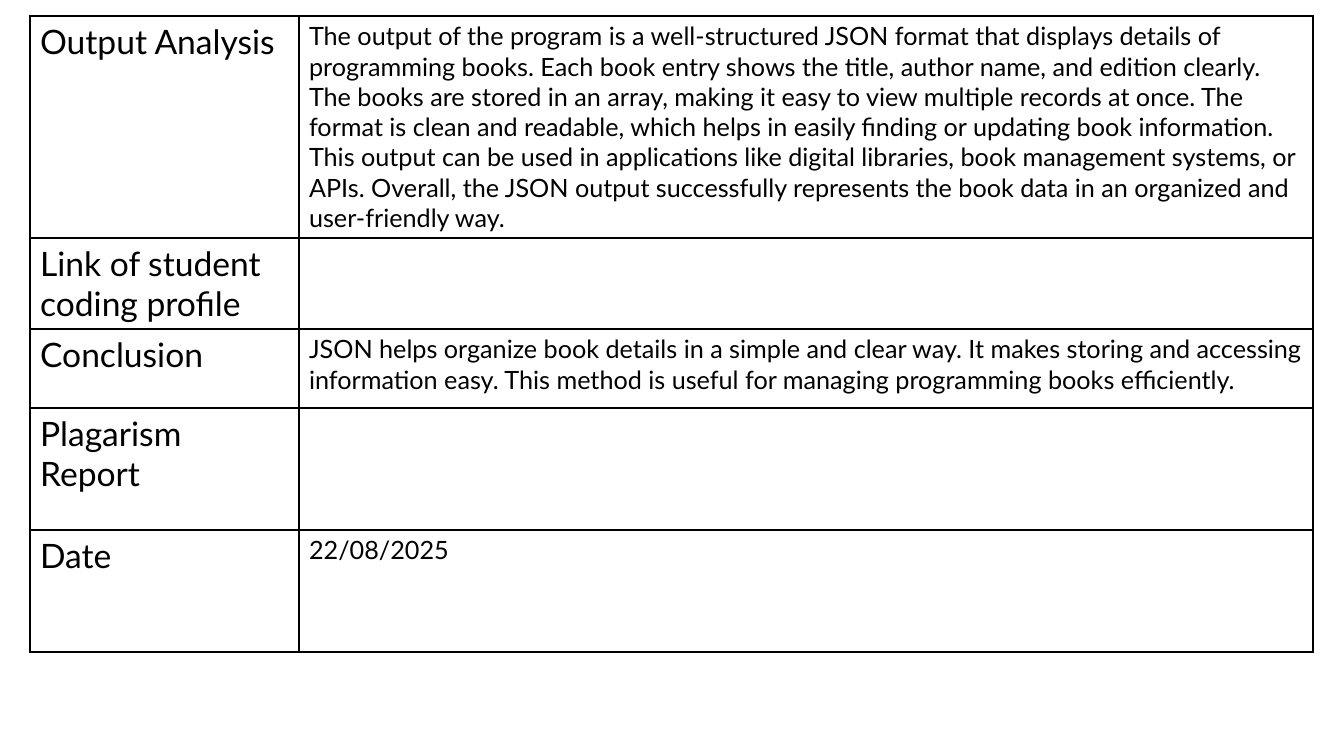
import pptx
import pptx.dml.color
import pptx.util
from lxml import etree
from pptx.oxml.ns import qn

PX = 914400 / 100.8
FONT = "Lato"
BLACK = "000000"

ROWS = [
    (222, "Output Analysis",
     "The output of the program is a well-structured JSON format that displays details of "
     "programming books. Each book entry shows the title, author name, and edition clearly. "
     "The books are stored in an array, making it easy to view multiple records at once. "
     "The format is clean and readable, which helps in easily finding or updating book "
     "information. This output can be used in applications like digital libraries, book "
     "management systems, or APIs. Overall, the JSON output successfully represents the "
     "book data in an organized and user-friendly way."),
    (91, "Link of student coding profile", ""),
    (79, "Conclusion",
     "JSON helps organize book details in a simple and clear way. It makes storing and "
     "accessing information easy. This method is useful for managing programming books "
     "efficiently."),
    (122, "Plagarism Report", ""),
    (122, "Date", "22/08/2025"),
]


def px(length):
    return pptx.util.Emu(round(length * PX))


def color(value):
    return pptx.dml.color.RGBColor.from_string(value)


def write_text(frame, text, size=18, fill=BLACK, font=FONT):
    frame.word_wrap = True
    paragraph = frame.paragraphs[0]
    if text:
        run = paragraph.add_run()
        run.text = text
        target = run.font
    else:
        target = paragraph.font
    target.size = pptx.util.Pt(size)
    target.name = font
    target.color.rgb = color(fill)


def add_borders(cell, line_color=BLACK, width=1):
    properties = cell._tc.get_or_add_tcPr()
    for side in ("a:lnL", "a:lnR", "a:lnT", "a:lnB"):
        line = etree.SubElement(properties, qn(side), w=str(pptx.util.Pt(width)))
        fill = etree.SubElement(line, qn("a:solidFill"))
        etree.SubElement(fill, qn("a:srgbClr"), val=line_color)


def add_report_table(slide, left, top, width, label_width):
    height = sum(row[0] for row in ROWS)
    table = slide.shapes.add_table(
        len(ROWS), 2, px(left), px(top), px(width), px(height)).table
    table.first_row = False
    table.horz_banding = False
    table.columns[0].width = px(label_width)
    table.columns[1].width = px(width - label_width)

    for index, (row_height, label, answer) in enumerate(ROWS):
        table.rows[index].height = px(row_height)
        for column, (text, size) in enumerate(((label, 24), (answer, 18))):
            cell = table.cell(index, column)
            add_borders(cell)
            cell.fill.background()
            write_text(cell.text_frame, text, size=size)


def main():
    presentation = pptx.Presentation()
    presentation.slide_width = px(1344)
    presentation.slide_height = px(756)
    slide = presentation.slides.add_slide(presentation.slide_layouts[6])

    # Report table
    add_report_table(slide, left=30, top=16, width=1283, label_width=269)

    presentation.save("out.pptx")


if __name__ == "__main__":
    main()
